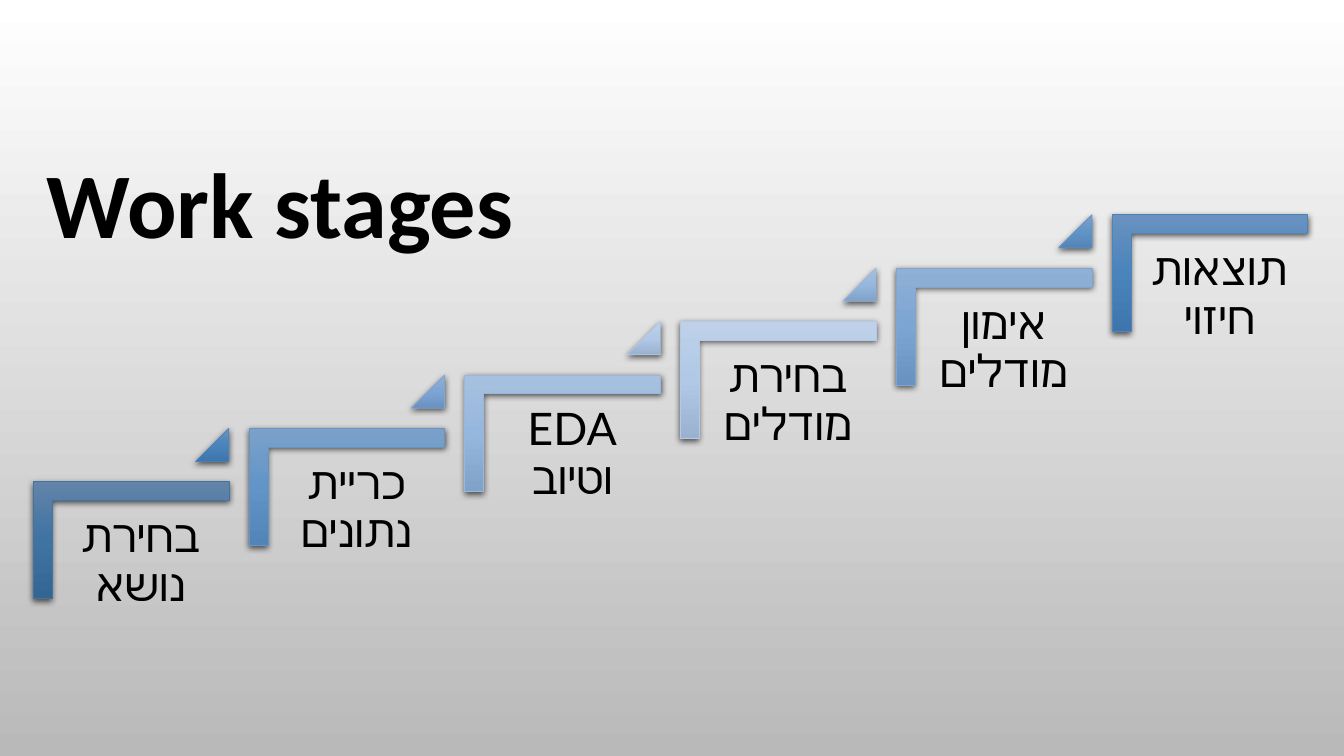
"""Build the Work stages slide: six steps rising to the right."""
from copy import deepcopy

from pptx import Presentation
from pptx import util as u
from pptx.dml.color import RGBColor
from pptx.enum import shapes, text
from pptx.oxml import parse_xml
from pptx.oxml.ns import nsdecls, qn

TITLE = "Work stages"
STAGES = ["בחירת נושא", "כריית נתונים", "EDA וטיוב",
          "בחירת מודלים", "אימון מודלים", "תוצאות חיזוי"]

TINTS = [
    ("6284A9", "3F73A2", "346694", "43739E"),
    ("6992BF", "4A84BC", "3D75AC", "4F84B7"),
    ("7BA1CA", "6294C8", "5284B7", "6794C3"),
    ("90B0D5", "7CA5D3", "6A92C0", "80A5CF"),
    ("A7C0DF", "96B7DD", "81A2C8", "99B7DA"),
    ("BED1E9", "B1C9E7", "9AB2D0", "B3C9E5"),
]
THEME = {
    "background": ("FFFFFF", "B9B9B9"),
    "ramp": TINTS + TINTS[:0:-1],
    "title": {"name": "Calibri", "size": u.Pt(66), "bold": True},
    "stage": {"name": "Lato", "size": u.Pt(32)},
    "ink": "000000",
}

WIDTH, HEIGHT = 13.33, 7.5
TITLE_BOX = (-2.97, 1.34, 11.5, 1.45)
STEP_X, STEP_Y = 2.14, -0.53
CORNER = (0.72, 4.39, 1.16, 1.94)
LABEL = (0.52, 4.97, 1.75, 1.53)
TRIANGLE = (1.94, 4.25, 0.33, 0.33)
INSET = 0.13
BAR = 0.161
SHADOW = (
    f'<a:outerShdw {nsdecls("a")} blurRad="57150" dist="19050" dir="5400000" '
    'algn="ctr" rotWithShape="0"><a:srgbClr val="000000">'
    '<a:alpha val="63000"/></a:srgbClr></a:outerShdw>'
)


def place(box, i=0):
    x, y, w, h = box
    return [u.Inches(v) for v in (x + i * STEP_X, y + i * STEP_Y, w, h)]


def set_all(obj, values):
    for name, value in values.items():
        setattr(obj, name, value)


def shade(fill, colours):
    fill.gradient_angle = 270
    last = len(colours) - 1
    for k, (stop, colour) in enumerate(zip(fill.gradient_stops, colours)):
        stop.position = k / last
        stop.color.rgb = RGBColor.from_string(colour)


def add_piece(group, kind, box, tint, adjustments, rotation=0):
    sp = group.shapes.add_shape(kind, *box)
    sp.rotation = rotation
    for k, value in enumerate(adjustments):
        sp.adjustments[k] = value
    sp.fill.gradient()
    first = sp.element.xpath(".//a:gs")[0]
    first.addnext(deepcopy(first))
    shade(sp.fill, tint[:3])
    sp.element.xpath(".//a:gradFill")[0].set("rotWithShape", "0")
    sp.line.color.rgb = RGBColor.from_string(tint[3])
    sp.line.width = u.Pt(0.5)
    sp.shadow.inherit = False
    sp.element.xpath("./p:spPr/a:effectLst")[0].append(parse_xml(SHADOW))


def write(tf, content, font, frame):
    set_all(tf, {"word_wrap": True, "auto_size": text.MSO_AUTO_SIZE.NONE, **frame})
    p = tf.paragraphs[0]
    set_all(p, {"alignment": text.PP_ALIGN.CENTER, "line_spacing": 0.9})
    p._p.get_or_add_pPr().set("rtl", "1")
    r = p.add_run()
    r.text = content
    set_all(r.font, font)
    r.font.color.rgb = RGBColor.from_string(THEME["ink"])
    props = r._r.get_or_add_rPr()
    props.append(props.makeelement(qn("a:cs"), {"typeface": font["name"]}))


def main():
    prs = Presentation()
    prs.slide_width, prs.slide_height = u.Inches(WIDTH), u.Inches(HEIGHT)
    s = prs.slides.add_slide(prs.slide_layouts[5])
    fill = s.background.fill
    fill.gradient()
    shade(fill, THEME["background"])

    title = s.shapes.title
    set_all(title, dict(zip(("left", "top", "width", "height"), place(TITLE_BOX))))
    write(title.text_frame, TITLE, THEME["title"],
          {"vertical_anchor": text.MSO_ANCHOR.MIDDLE})

    margins = {f"margin_{side}": u.Inches(INSET)
               for side in ("left", "top", "right", "bottom")}
    stairs = s.shapes.add_group_shape()
    for i, stage in enumerate(STAGES):
        add_piece(stairs, shapes.MSO_SHAPE.CORNER, place(CORNER, i),
                  THEME["ramp"][2 * i], (BAR, BAR), 90)
        label = stairs.shapes.add_textbox(*place(LABEL, i))
        write(label.text_frame, stage, THEME["stage"], margins)
        if i < len(STAGES) - 1:
            add_piece(stairs, shapes.MSO_SHAPE.ISOSCELES_TRIANGLE,
                      place(TRIANGLE, i), THEME["ramp"][2 * i + 1], (1,))

    prs.save("out.pptx")


if __name__ == "__main__":
    main()
